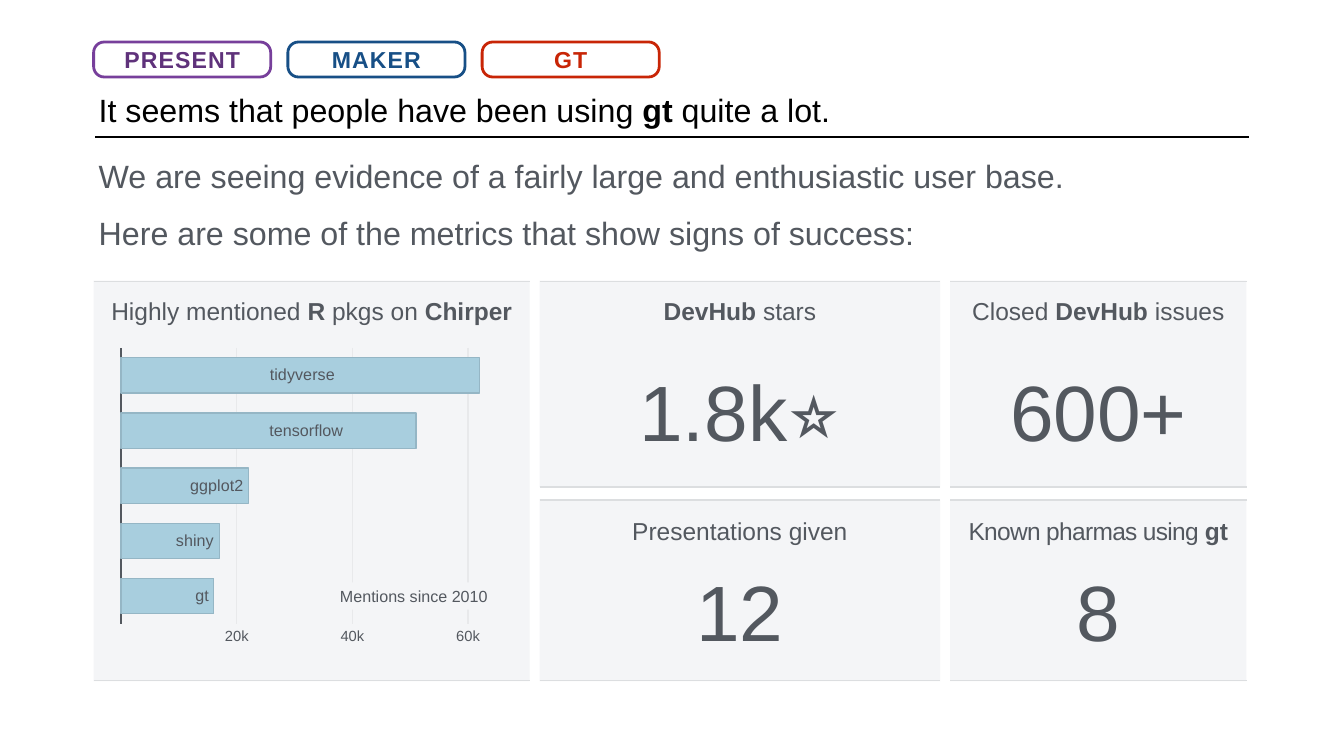
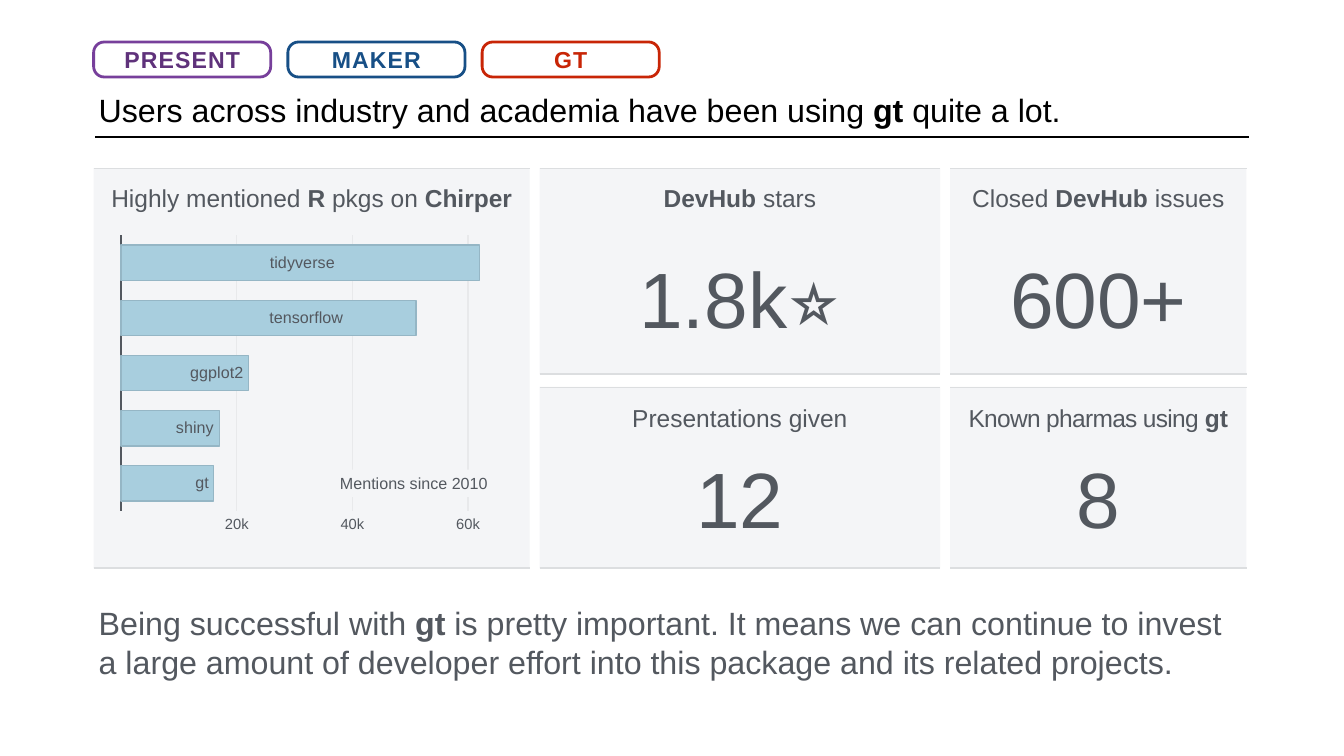
"""Build two slides showing how widely the gt package is used."""
import pptx
import pptx.chart.data
import pptx.dml.color
import pptx.enum.chart
import pptx.enum.shapes
import pptx.enum.text
import pptx.oxml
import pptx.oxml.ns
import pptx.util

Pt = pptx.util.Pt
qn = pptx.oxml.ns.qn
rgb = pptx.dml.color.RGBColor.from_string
Align = pptx.enum.text.PP_ALIGN
Shape = pptx.enum.shapes.MSO_SHAPE
LabelPosition = pptx.enum.chart.XL_LABEL_POSITION

FONT = "Arial"
BLACK, GREY = "000000", "53585F"
PANEL, EDGE, GRID = "F4F5F7", "DCDEE0", "E8E9EB"
BAR, BAR_EDGE = "A8CEDE", "95B6C5"
BODY_SIZE, HEADING_SIZE, FIGURE_SIZE = 46, 35, 112
MARGIN = 133.75

PILLS = [("PRESENT", "5F327B", "773F9B"), ("MAKER", "174F86", "174F86"), ("GT", "C82506", "C82506")]
COLUMN_WIDTHS = [623, 572, 423.5]
COLUMN_GAP = 14.25
COLUMN_LEFTS = [MARGIN + sum(COLUMN_WIDTHS[:i]) + i * COLUMN_GAP for i in range(3)]
PANELS = [
    (0, 0, 572, "Highly mentioned *R* pkgs on *Chirper*", 17.5, 0, None, 0),
    (1, 0, 295, "*DevHub* stars", 17.5, 0, "1.8k⭐️", 104),
    (2, 0, 295, "Closed *DevHub* issues", 17.5, 0, "600+", 104),
    (1, 312.5, 259.5, "Presentations given", 19.5, 0, "12", 77),
    (2, 312.5, 259.5, "Known pharmas using *gt*", 19.5, -100, "8", 77),
]
MENTIONS = [
    ("gt", 16, LabelPosition.INSIDE_END, -4),
    ("shiny", 17, LabelPosition.INSIDE_END, -5),
    ("ggplot2", 22, LabelPosition.INSIDE_END, -4),
    ("tensorflow", 51, LabelPosition.CENTER, 54),
    ("tidyverse", 62, LabelPosition.CENTER, 3),
]
CHART_WIDTH, CHART_HEIGHT = 619, 475
PLOT = {"x": 36 / CHART_WIDTH, "y": 22 / CHART_HEIGHT, "w": 537 / CHART_WIDTH, "h": 394 / CHART_HEIGHT}
LAYOUT = ('<c:layout xmlns:c="http://schemas.openxmlformats.org/drawingml/2006/chart">'
          '<c:manualLayout>{}</c:manualLayout></c:layout>')

SLIDES = [
    ("It seems that people have been using *gt* quite a lot.", 401, [
        (220, 1443, 63, "We are seeing evidence of a fairly large and enthusiastic user base."),
        (301, 1443, 63, "Here are some of the metrics that show signs of success:"),
    ]),
    ("Users across industry and academia have been using *gt* quite a lot.", 240, [
        (858, 1648, 118, "Being successful with *gt* is pretty important. It means we can continue to invest "
                         "a large amount of developer effort into this package and its related projects."),
    ]),
]


def write(slide, place, markup, size, color=GREY, align=Align.LEFT, spacing=0, outline=None):
    """Add a text box, or an outlined pill, where asterisks switch bold on and off."""
    place = [Pt(length) for length in place]
    if outline:
        box = slide.shapes.add_shape(Shape.ROUNDED_RECTANGLE, *place)
        box.adjustments[0] = 0.3
        box.shadow.inherit = False
        box.fill.background()
        box.line.color.rgb = rgb(outline)
        box.line.width = Pt(4)
    else:
        box = slide.shapes.add_textbox(*place)
    frame = box.text_frame
    frame.word_wrap = True
    frame.vertical_anchor = pptx.enum.text.MSO_ANCHOR.MIDDLE
    frame.margin_left = frame.margin_right = frame.margin_top = frame.margin_bottom = Pt(4)
    para = frame.paragraphs[0]
    para.alignment = align
    for index, piece in enumerate(markup.split("*")):
        if piece:
            span = para.add_run()
            span.text = piece
            span.font.name = FONT
            span.font.size = Pt(size)
            span.font.bold = index % 2 == 1
            span.font.color.rgb = rgb(color)
            if spacing > 0 or not span.font.bold:
                span.font._element.set("spc", str(spacing))
    return box


def rule(slide, left, right, y, color):
    """Draw a horizontal line."""
    line = slide.shapes.add_connector(pptx.enum.shapes.MSO_CONNECTOR.STRAIGHT, Pt(left), Pt(y), Pt(right), Pt(y))
    line.line.color.rgb = rgb(color)
    line.line.width = Pt(2)
    line._element.spPr.append(pptx.oxml.parse_xml(
        '<a:effectLst xmlns:a="http://schemas.openxmlformats.org/drawingml/2006/main"/>'))


deck = pptx.Presentation()
deck.slide_width, deck.slide_height = Pt(1920), Pt(1080)

for title, top, sentences in SLIDES:
    page = deck.slides.add_slide(deck.slide_layouts[6])
    for index, (label, color, outline) in enumerate(PILLS):
        write(page, (MARGIN + index * 277.5, 60, 253, 50), f"*{label}*", 33, color, Align.CENTER, 160, outline)
    write(page, (137, 125, 1629, 63), title, BODY_SIZE, BLACK)
    rule(page, 136, 1784, 196, BLACK)
    for y, width, height, sentence in sentences:
        write(page, (137, y, width, height), sentence, BODY_SIZE)

    for column, offset, height, heading, heading_offset, spacing, figure, figure_offset in PANELS:
        left, width, y = COLUMN_LEFTS[column], COLUMN_WIDTHS[column], top + offset
        panel = page.shapes.add_shape(Shape.RECTANGLE, Pt(left), Pt(y), Pt(width), Pt(height))
        panel.shadow.inherit = False
        panel.fill.solid()
        panel.fill.fore_color.rgb = rgb(PANEL)
        panel.line.fill.background()
        rule(page, left, left + width, y + 1, EDGE)
        rule(page, left, left + width, y + height - 0.5, EDGE)
        write(page, (left, y + heading_offset, width, 50), heading, HEADING_SIZE, GREY, Align.CENTER, spacing)
        if figure:
            write(page, (left, y + figure_offset, width, 161), figure, FIGURE_SIZE, GREY, Align.CENTER)

    data = pptx.chart.data.CategoryChartData()
    data.categories = [name for name, *_ in MENTIONS]
    data.add_series("Mentions since 2010", [count for _, count, *_ in MENTIONS])
    chart = page.shapes.add_chart(
        pptx.enum.chart.XL_CHART_TYPE.BAR_CLUSTERED,
        Pt(137), Pt(top + 74), Pt(CHART_WIDTH), Pt(CHART_HEIGHT), data).chart
    chart.has_legend = chart.has_title = False
    chart.font.name = FONT
    chart.font.size = Pt(21)
    chart.font.color.rgb = rgb(GREY)

    plot_area = chart._chartSpace.chart.plotArea
    for layout in plot_area.findall(qn("c:layout")):
        plot_area.remove(layout)
    sizes = "".join(f'<c:{key} val="{value:.4f}"/>' for key, value in PLOT.items())
    plot_area.insert(0, pptx.oxml.parse_xml(LAYOUT.format(
        f'<c:layoutTarget val="inner"/><c:xMode val="edge"/><c:yMode val="edge"/>{sizes}')))

    names = chart.category_axis
    names.tick_label_position = pptx.enum.chart.XL_TICK_LABEL_POSITION.NONE
    names.major_tick_mark = pptx.enum.chart.XL_TICK_MARK.NONE
    names.format.line.color.rgb = rgb(GREY)
    names.format.line.width = Pt(2)
    counts = chart.value_axis
    counts.minimum_scale, counts.maximum_scale, counts.major_unit = 0, 65, 20
    counts.major_tick_mark = pptx.enum.chart.XL_TICK_MARK.OUTSIDE
    counts.format.line.fill.background()
    counts.major_gridlines.format.line.color.rgb = rgb(GRID)
    counts.major_gridlines.format.line.width = Pt(2)
    counts.tick_labels.number_format = '0"k";;'
    counts.tick_labels.number_format_is_linked = False

    plot = chart.plots[0]
    plot.vary_by_categories = False
    plot.gap_width = 56
    bars = plot.series[0]
    bars.format.fill.solid()
    bars.format.fill.fore_color.rgb = rgb(BAR)
    bars.format.line.color.rgb = rgb(BAR_EDGE)
    bars.format.line.width = Pt(2)
    for index, (name, count, position, shift) in enumerate(MENTIONS):
        label = bars.points[index].data_label
        label.position = position
        label.font.size = Pt(23)
        label.font.color.rgb = rgb(GREY)
        element = bars.data_labels._element.findall(qn("c:dLbl"))[-1]
        element.find(qn("c:showVal")).set("val", "0")
        element.find(qn("c:showCatName")).set("val", "1")
        element.insert(1, pptx.oxml.parse_xml(LAYOUT.format(
            f'<c:x val="{shift / CHART_WIDTH:.4f}"/><c:y val="0"/>')))

    caption = write(page, (473, top + 431, 228, 39), "Mentions since 2010", 23, GREY, Align.RIGHT)
    caption.fill.solid()
    caption.fill.fore_color.rgb = rgb(PANEL)

deck.save("out.pptx")
